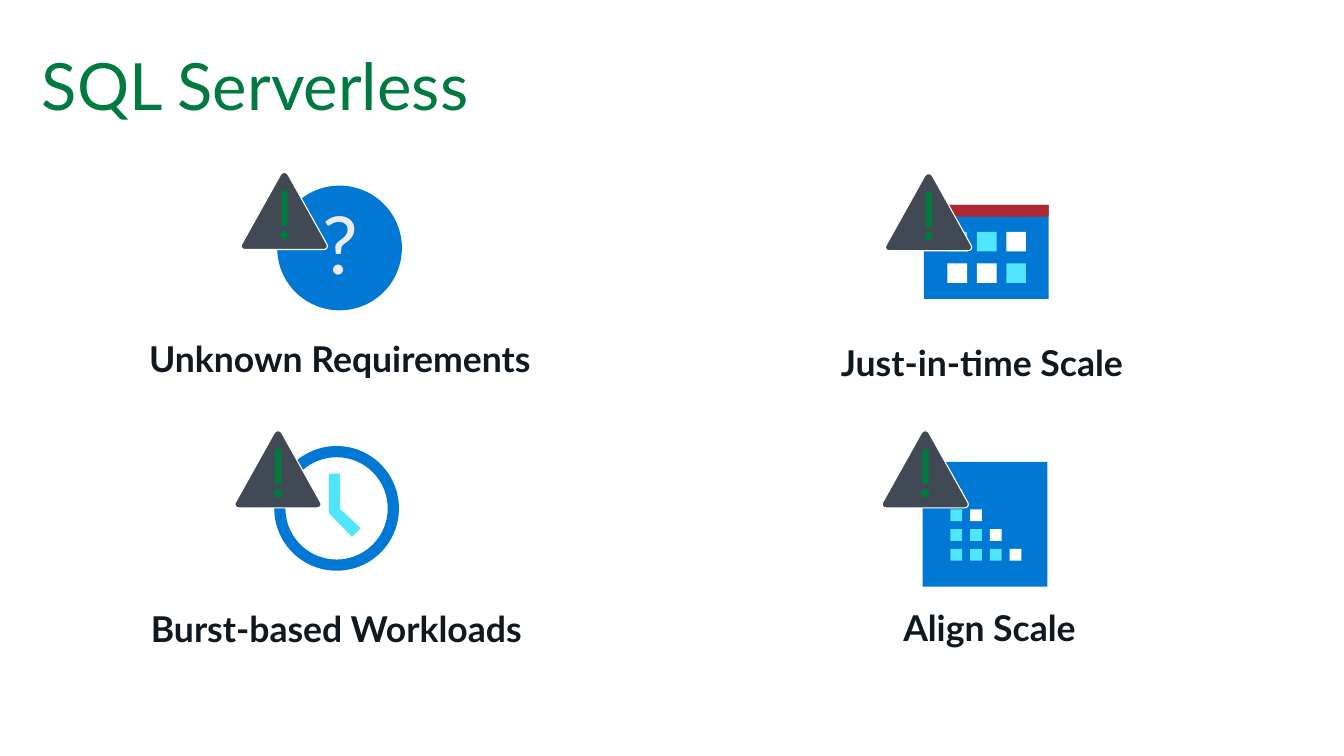
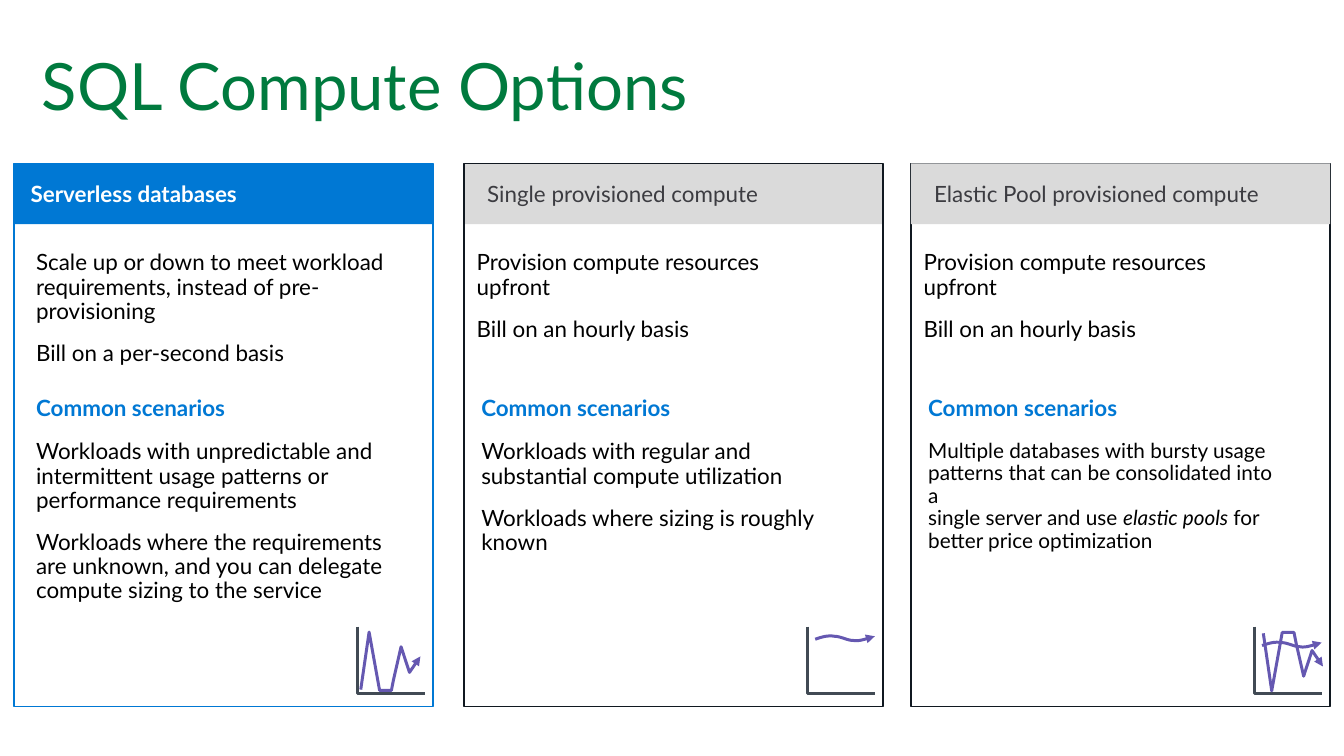
"""Build two slides on serverless SQL and the SQL compute options."""
import pptx
import pptx.util
import pptx.dml.color
import pptx.enum.shapes
import pptx.enum.text
import pptx.oxml.ns
import lxml.etree

Cm = pptx.util.Cm
Pt = pptx.util.Pt
RGBColor = pptx.dml.color.RGBColor
SHAPE = pptx.enum.shapes.MSO_SHAPE
ALIGN = pptx.enum.text.PP_ALIGN
qn = pptx.oxml.ns.qn

GREEN = RGBColor(0x00, 0x7A, 0x3E)
BLUE = RGBColor(0x00, 0x78, 0xD4)
CYAN = RGBColor(0x50, 0xE6, 0xFF)
WHITE = RGBColor(0xFF, 0xFF, 0xFF)
BLACK = RGBColor(0x00, 0x00, 0x00)
INK = RGBColor(0x10, 0x18, 0x20)
SLATE = RGBColor(0x41, 0x4A, 0x54)
RED = RGBColor(0xAF, 0x27, 0x2F)
PALE = RGBColor(0xEB, 0xEB, 0xEB)
GREY = RGBColor(0xDA, 0xDA, 0xDA)
CHARCOAL = RGBColor(0x3C, 0x3C, 0x41)
PURPLE = RGBColor(0x65, 0x58, 0xB1)

FONT = "Lato"
BODY_SIZE = 15.1
ICON_SIZE = 2.97
CARD_WIDTH, CARD_HEIGHT, BAND_HEIGHT = 9.98, 12.93, 1.45
CARD_TOP = 3.89


def bezier(start, first, second, end, steps=8):
    """Return points along a cubic curve."""
    points = []
    for step in range(steps + 1):
        t = step / steps
        weights = ((1 - t) ** 3, 3 * t * (1 - t) ** 2, 3 * t * t * (1 - t), t ** 3)
        corners = (start, first, second, end)
        points.append(tuple(sum(w * c[axis] for w, c in zip(weights, corners))
                            for axis in (0, 1)))
    return points


TRIANGLE = (bezier((0.94, 0.05), (0.98, -0.02), (1.08, -0.02), (1.12, 0.05))
            + bezier((2.03, 1.68), (2.08, 1.75), (2.05, 1.83), (1.96, 1.83))
            + bezier((0.1, 1.83), (0.01, 1.83), (-0.02, 1.75), (0.03, 1.68)))
HANDS = [(1.57, 0.66), (1.3, 0.66), (1.3, 1.6), (1.85, 2.16), (2.06, 1.96), (1.57, 1.5)]
AXES = [(0, 0), (0, 1.6), (1.6, 1.6)]
WAVE = (bezier((0.18, 0.3), (0.33, 0.25), (0.48, 0.2), (0.64, 0.23))
        + bezier((0.64, 0.23), (0.79, 0.23), (0.94, 0.33), (1.09, 0.33))[1:]
        + bezier((1.09, 0.33), (1.22, 0.36), (1.42, 0.28), (1.6, 0.23))[1:])
SPIKES = [(0.08, 1.5), (0.28, 0.13), (0.53, 1.52), (0.81, 1.52),
          (0.86, 1.27), (1.04, 0.48), (1.24, 1.09), (1.5, 0.71)]
LOW_WAVE = [(x, y + 0.15) for x, y in WAVE]
FLIPPED_SPIKES = [(x + 0.13, 1.66 - y) for x, y in SPIKES]


def paint(shape, fill=None, line=None, width=1.0):
    """Set the fill and line of a shape and drop its shadow."""
    shape.shadow.inherit = False
    if fill is None:
        shape.fill.background()
    else:
        shape.fill.solid()
        shape.fill.fore_color.rgb = fill
    if line is None:
        shape.line.fill.background()
    else:
        shape.line.color.rgb = line
        shape.line.width = Pt(width)
    return shape


def add_preset(page, kind, left, top, width, height, fill=None, line=None):
    """Add a painted preset shape."""
    shape = page.shapes.add_shape(kind, Cm(left), Cm(top), Cm(width), Cm(height))
    return paint(shape, fill, line)


def add_outline(page, points, left, top, fill=None, line=None, width=1.0, arrow=False):
    """Add a polygon if filled, otherwise an open line, at an offset."""
    spots = [(Cm(left + x), Cm(top + y)) for x, y in points]
    builder = page.shapes.build_freeform(*spots[0])
    builder.add_line_segments(spots[1:], close=fill is not None)
    shape = paint(builder.convert_to_shape(), fill, line, width)
    if arrow:
        stroke = shape.element.spPr.find(qn("a:ln"))
        lxml.etree.SubElement(stroke, qn("a:tailEnd"), type="triangle")
    return shape


def add_span(para, text, size, color, bold=False, italic=False):
    """Add one formatted run."""
    span = para.add_run()
    span.text = text
    span.font.name = FONT
    span.font.size = Pt(size)
    span.font.color.rgb = color
    span.font.bold = bold
    span.font.italic = italic


def add_text(page, left, top, width, height, paras, size, color, bold=False,
             align=ALIGN.LEFT, insets=(0, 0), spacing=None, after=0):
    """Add a text box whose paragraphs are lists of lines of (text, italic) runs."""
    box = page.shapes.add_textbox(Cm(left), Cm(top), Cm(width), Cm(height))
    frame = box.text_frame
    frame.word_wrap = True
    frame.margin_left = frame.margin_right = Cm(insets[0])
    frame.margin_top = frame.margin_bottom = Cm(insets[1])
    for index, lines in enumerate(paras):
        para = frame.paragraphs[0] if index == 0 else frame.add_paragraph()
        para.alignment = align
        para.space_after = Pt(after)
        if spacing:
            para.line_spacing = spacing
        for number, line in enumerate(lines):
            if number:
                para.add_line_break()
            for text, italic in line:
                add_span(para, text, size, color, bold, italic)


def plain(*texts):
    """Turn strings into one-line upright paragraphs."""
    return [[[(text, False)]] for text in texts]


def add_page(deck, title):
    """Add a title-only slide with the shared title style."""
    page = deck.slides.add_slide(deck.slide_layouts[5])
    box = page.shapes.title
    box.left, box.top, box.width, box.height = Cm(1), Cm(1), Cm(30), Cm(2)
    frame = box.text_frame
    frame.auto_size = pptx.enum.text.MSO_AUTO_SIZE.NONE
    frame.vertical_anchor = pptx.enum.text.MSO_ANCHOR.MIDDLE
    frame.margin_left = frame.margin_right = frame.margin_top = frame.margin_bottom = 0
    para = frame.paragraphs[0]
    para.alignment = ALIGN.LEFT
    add_span(para, title, 44, GREEN)
    return page


def draw_question(page, left, top):
    """Draw a disc with a question mark."""
    add_preset(page, SHAPE.OVAL, left, top, ICON_SIZE, ICON_SIZE, BLUE)
    add_text(page, left + 0.41, top + 0.1, 2.18, 2.84, plain("?"), 54, PALE,
             align=ALIGN.CENTER, insets=(0.48, 0.38), spacing=0.9, after=5.7)


def draw_calendar(page, left, top):
    """Draw a calendar with two rows of days."""
    add_preset(page, SHAPE.RECTANGLE, left, top, ICON_SIZE, 2.24, BLUE)
    add_preset(page, SHAPE.RECTANGLE, left, top, ICON_SIZE, 0.28, RED)
    for row, colors in enumerate([(CYAN, CYAN, WHITE), (WHITE, WHITE, CYAN)]):
        for column, color in enumerate(colors):
            add_preset(page, SHAPE.RECTANGLE, left + 0.56 + 0.7 * column,
                       top + 0.64 + 0.75 * row, 0.47, 0.47, color)


def draw_clock(page, left, top):
    """Draw a clock ring with its hands."""
    ring = add_preset(page, SHAPE.DONUT, left, top, ICON_SIZE, ICON_SIZE, BLUE)
    ring.adjustments[0] = 0.09
    add_outline(page, HANDS, left, top, CYAN)


def draw_staircase(page, left, top):
    """Draw a square with steps of cells, the last of each row white."""
    add_preset(page, SHAPE.RECTANGLE, left, top, ICON_SIZE, ICON_SIZE, BLUE)
    for row in range(4):
        for column in range(row + 1):
            add_preset(page, SHAPE.RECTANGLE, left + 0.66 + 0.47 * column,
                       top + 0.66 + 0.47 * row, 0.28, 0.28,
                       WHITE if column == row else CYAN)


def draw_warning(page, left, top):
    """Draw a warning triangle with an exclamation mark."""
    add_outline(page, TRIANGLE, left, top, SLATE, WHITE, 0.75)
    add_preset(page, SHAPE.RECTANGLE, left + 0.96, top + 0.43, 0.15, 0.84, GREEN)
    add_preset(page, SHAPE.OVAL, left + 0.93, top + 1.39, 0.2, 0.2, GREEN)


def build_serverless(deck):
    """Build the slide with four labelled icons."""
    page = add_page(deck, "SQL Serverless")
    items = [
        (draw_question, (6.6, 4.42), (5.74, 4.11), "Unknown Requirements", (2.72, 7.9)),
        (draw_calendar, (22, 4.88), (21.08, 4.14), "Just-in-time Scale", (18.01, 7.98)),
        (draw_clock, (6.53, 10.62), (5.59, 10.26), "Burst-based Workloads", (2.64, 14.33)),
        (draw_staircase, (21.97, 11), (21, 10.26), "Align Scale", (18.19, 14.3)),
    ]
    for draw_icon, icon_spot, warning_spot, label, label_spot in items:
        draw_icon(page, *icon_spot)
        draw_warning(page, *warning_spot)
        add_text(page, *label_spot, 10.74, 1.27, plain(label), 24, INK, bold=True,
                 align=ALIGN.CENTER, insets=(0.25, 0.13))


def draw_usage(page, left, top, curves):
    """Draw a small sketch of load over time."""
    add_outline(page, AXES, left, top, line=SLATE, width=2)
    for curve in curves:
        add_outline(page, curve, left, top, line=PURPLE, width=2, arrow=True)


def draw_card(page, left, top, heading, features, scenarios, curves, main=False,
              band_over=False, scenario_size=BODY_SIZE):
    """Draw one option card with a band, text and usage sketch."""
    band = (CARD_WIDTH, BAND_HEIGHT, BLUE if main else GREY, None)
    border = (CARD_WIDTH, CARD_HEIGHT, None, BLUE if main else INK)
    for part in (border, band) if band_over else (band, border):
        add_preset(page, SHAPE.RECTANGLE, left, top, *part)
    heading_x, feature_x, scenario_x = (0.15, 0.53, 0.53) if main else (0.3, 0.3, 0.41)
    feature_width, scenario_width = (8.81, 8.81) if main else (7.09, 8.46)
    add_text(page, left + heading_x, top + 0.28, 9.5, 0.91, plain(heading), BODY_SIZE,
             WHITE if main else CHARCOAL, bold=main, insets=(0.25, 0.13))
    blocks = [
        (feature_x, 2.1, feature_width, 2.2, features, BODY_SIZE, BLACK, False),
        (scenario_x, 5.56, 8.81, 0.58, plain("Common scenarios"), BODY_SIZE, BLUE, True),
        (scenario_x, 6.6, scenario_width, 2.74, scenarios, scenario_size, BLACK, False),
    ]
    for x, y, *rest in blocks:
        add_text(page, left + x, top + y, *rest, spacing=0.9, after=12)
    draw_usage(page, left + 8.18, top + 11.03, curves)


def build_options(deck):
    """Build the slide with three option cards."""
    page = add_page(deck, "SQL Compute Options")
    provisioned = plain("Provision compute resources upfront", "Bill on an hourly basis")
    draw_card(page, 0.33, CARD_TOP, "Serverless databases",
              plain("Scale up or down to meet workload requirements, "
                    "instead of pre-provisioning", "Bill on a per-second basis"),
              plain("Workloads with unpredictable and intermittent usage patterns "
                    "or performance requirements",
                    "Workloads where the requirements are unknown, and you can "
                    "delegate compute sizing to the service"),
              [SPIKES], main=True)
    draw_card(page, 11.05, CARD_TOP, "Single provisioned compute", provisioned,
              plain("Workloads with regular and substantial compute utilization",
                    "Workloads where sizing is roughly known"), [WAVE])
    pooled = [[("Multiple databases with bursty usage", False)],
              [("patterns that can be consolidated into a", False)],
              [("single server and use ", False), ("elastic pools ", True), ("for", False)],
              [("better price optimization", False)]]
    draw_card(page, 21.69, CARD_TOP, "Elastic Pool provisioned compute", provisioned,
              [pooled], [LOW_WAVE, FLIPPED_SPIKES], band_over=True, scenario_size=14)


def main():
    """Build and save the deck."""
    deck = pptx.Presentation()
    deck.slide_width, deck.slide_height = Cm(32), Cm(18)
    build_serverless(deck)
    build_options(deck)
    deck.save("out.pptx")


if __name__ == "__main__":
    main()
